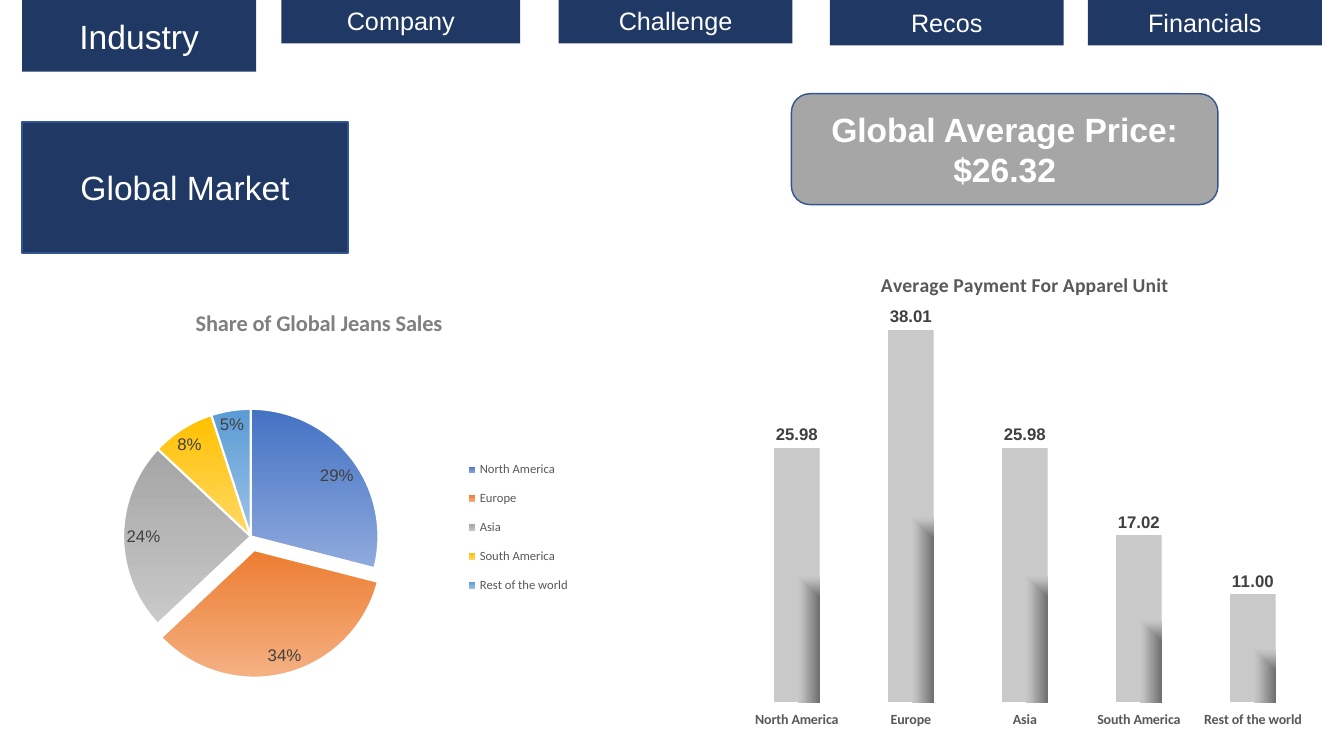
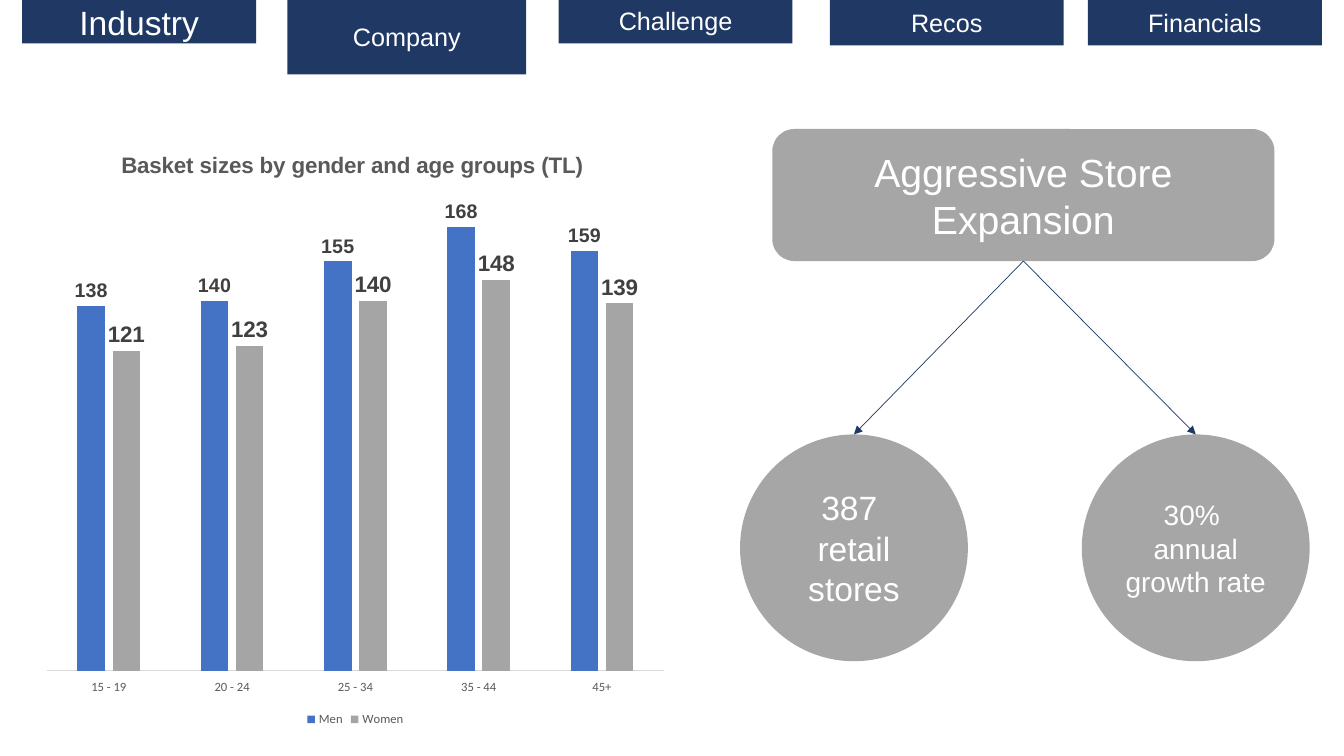
from pptx import Presentation
from pptx.chart.data import CategoryChartData
from pptx.dml.color import RGBColor
from pptx.enum.chart import XL_CHART_TYPE, XL_LABEL_POSITION, XL_LEGEND_POSITION, XL_TICK_LABEL_POSITION, XL_TICK_MARK
from pptx.enum.shapes import MSO_CONNECTOR, MSO_SHAPE
from pptx.enum.text import MSO_ANCHOR, MSO_AUTO_SIZE, PP_ALIGN
from pptx.oxml import parse_xml
from pptx.oxml.ns import nsdecls, qn
from pptx.util import Emu, Pt

RECTANGLE = MSO_SHAPE.RECTANGLE
ROUNDED = MSO_SHAPE.ROUNDED_RECTANGLE
ELLIPSE = MSO_SHAPE.OVAL
COLUMNS = XL_CHART_TYPE.COLUMN_CLUSTERED
PIE = XL_CHART_TYPE.PIE
OUTSIDE = XL_LABEL_POSITION.OUTSIDE_END
BEST_FIT = XL_LABEL_POSITION.BEST_FIT
LEGEND_RIGHT = XL_LEGEND_POSITION.RIGHT
LEGEND_BOTTOM = XL_LEGEND_POSITION.BOTTOM

PX = 9144
SLIDE_SIZE = (1333, 750)
TITLE_ONLY, BLANK = 5, 6
BOTTOM_SITE, TOP_SITE = 2, 0
COLORS = {
    "navy": "203864", "outline": "325491", "white": "FFFFFF", "gray": "A6A6A6",
    "text": "595959", "label": "404040", "muted": "808080", "axis": "D9D9D9",
    "men": "4472C4", "women": "A5A5A5",
}

TABS = {
    "Industry": ((22, 0, 232, 43), 24),
    "Company": ((279, -2, 237, 45), 18),
    "Challenge": ((554, -2, 232, 45), 18),
    "Recos": ((823, 0, 232, 45), 18),
    "Financials": ((1079, 0, 232, 45), 18),
}
MARKET_TAB = {"Industry": (22, 0, 232, 71)}
COMPANY_TAB = {"Company": (285, -2, 237, 76)}

MARKET_TITLE = ("Global Market", (22, 121, 323, 130))
PRICE = ("Global Average Price: $26.32", (785, 93, 423, 110))
REGIONS = ["North America", "Europe", "Asia", "South America", "Rest of the world"]
PAYMENTS = [("Series 1", [25.98, 38.01, 25.98, 17.02, 11])]
SHARES = [("Series 1", [0.29, 0.34, 0.24, 0.08, 0.05])]
SLICE_GRADIENTS = [
    ("4472C4", "8FAADC"), ("ED7D31", "F4B183"), ("A5A5A5", "C9C9C9"),
    ("FFC000", "FFD966"), ("5B9BD5", "9DC3E6"),
]
EXPLODED_SLICE = 1
BAR_STOPS = [(0, "6F6F6F"), (79, "BFBFBF"), (100, "C9C9C9")]

AGES = ["15 - 19", "20 - 24", "25 - 34", "35 - 44", "45+"]
BASKETS = [("Men", [138, 140, 155, 168, 159]), ("Women", [121, 123, 140, 148, 139])]
BASKET_STYLES = [("men", 14), ("women", 16)]
EXPANSION = ("Aggressive Store Expansion", (766, 128, 498, 131))
RESULTS = [
    (["387 ", "retail stores"], (734, 431, 226, 225), 24),
    (["30% ", "annual growth rate"], (1073, 431, 226, 225), 20),
]


def rgb(name):
    return RGBColor.from_string(COLORS.get(name, name))


def box(bounds):
    return [Emu(length * PX) for length in bounds]


def format_font(font, size, color, bold=False, name="Calibri"):
    font.size = Pt(size)
    font.color.rgb = rgb(color)
    font.bold = bold
    font.name = name


def write_text(frame, paragraphs, size=18, color="white", bold=False, name="Arial"):
    frame.word_wrap = True
    frame.auto_size = MSO_AUTO_SIZE.NONE
    frame.vertical_anchor = MSO_ANCHOR.MIDDLE
    for index, text in enumerate(paragraphs):
        paragraph = frame.add_paragraph() if index else frame.paragraphs[0]
        paragraph.alignment = PP_ALIGN.CENTER
        run = paragraph.add_run()
        run.text = text
        format_font(run.font, size, color, bold, name)


def paint(shape, fill, line=None):
    shape.fill.solid()
    shape.fill.fore_color.rgb = rgb(fill)
    if line:
        shape.line.color.rgb = rgb(line)
        shape.line.width = Pt(1)
    else:
        shape.line.fill.background()


def add_block(slide, kind, bounds, paragraphs, fill="navy", line=None, **text_format):
    shape = slide.shapes.add_shape(kind, *box(bounds))
    shape.shadow.inherit = False
    paint(shape, fill, line)
    write_text(shape.text_frame, paragraphs, **text_format)
    return shape


def add_tabs(slide, active):
    for text, (bounds, size) in TABS.items():
        add_block(slide, RECTANGLE, active.get(text, bounds), [text], size=size)


def add_arrow(slide, source, target):
    arrow = slide.shapes.add_connector(MSO_CONNECTOR.STRAIGHT, 0, 0, 0, 0)
    arrow.begin_connect(source, BOTTOM_SITE)
    arrow.end_connect(target, TOP_SITE)
    arrow.line.color.rgb = rgb("navy")
    arrow.line.width = Pt(0.5)
    arrow.line._get_or_add_ln().append(parse_xml(f'<a:tailEnd {nsdecls("a")} type="triangle"/>'))
    arrow._element.spPr.append(parse_xml(f'<a:effectLst {nsdecls("a")}/>'))


def place_part(element, position, fractions, inner=False):
    for layout in element.findall(qn("c:layout")):
        element.remove(layout)
    target = '<c:layoutTarget val="inner"/>' if inner else ""
    modes = "".join(f'<c:{axis}Mode val="edge"/>' for axis in "xy")
    values = "".join(f'<c:{key} val="{value}"/>' for key, value in zip("xywh", fractions))
    element.insert(position, parse_xml(
        f'<c:layout {nsdecls("c")}><c:manualLayout>{target}{modes}{values}</c:manualLayout></c:layout>'))


def add_chart(slide, kind, bounds, categories, rows, title, title_size, plot_area,
              title_color="text", title_font="Calibri"):
    data = CategoryChartData()
    data.categories = categories
    for name, values in rows:
        data.add_series(name, values)
    chart = slide.shapes.add_chart(kind, *box(bounds), data).chart
    format_font(chart.font, 10, "000000")
    chart.has_title = True
    chart.chart_title.include_in_layout = False
    run = chart.chart_title.text_frame.paragraphs[0].add_run()
    run.text = title
    format_font(run.font, title_size, title_color, True, title_font)
    chart.has_legend = False
    chart.plots[0].vary_by_categories = kind == PIE
    place_part(chart._chartSpace.chart.plotArea, 0, plot_area, inner=True)
    return chart


def add_legend(chart, position):
    chart.has_legend = True
    chart.legend.position = position
    chart.legend.include_in_layout = False
    format_font(chart.legend.font, 9, "text")


def add_labels(series, position, number_format, size=12, bold=True):
    labels = series.data_labels
    labels.show_value = True
    labels.number_format = number_format
    labels.number_format_is_linked = False
    labels.position = position
    format_font(labels.font, size, "label", bold, "Arial")


def format_axes(chart, maximum, size, bold=False, line=None):
    values = chart.value_axis
    values.minimum_scale = 0
    values.maximum_scale = maximum
    values.has_major_gridlines = False
    values.visible = False
    axis = chart.category_axis
    axis.major_tick_mark = XL_TICK_MARK.NONE
    axis.tick_label_position = XL_TICK_LABEL_POSITION.LOW
    format_font(axis.tick_labels.font, size, "text", bold)
    if line:
        axis.format.line.color.rgb = rgb(line)
        axis.format.line.width = Pt(0.75)
    else:
        axis.format.line.fill.background()


def add_payment_chart(slide):
    chart = add_chart(slide, COLUMNS, (722, 251, 589, 474), REGIONS, PAYMENTS,
                      "Average Payment For Apparel Unit", 14, (0.02, 0.12, 0.96, 0.82))
    format_axes(chart, 40, 10, bold=True)
    chart.plots[0].gap_width = 150
    series = chart.series[0]
    add_labels(series, OUTSIDE, "0.00")
    stops = "".join(f'<a:gs pos="{position * 1000}"><a:srgbClr val="{color}"/></a:gs>'
                    for position, color in BAR_STOPS)
    series._element.get_or_add_spPr().insert(0, parse_xml(
        f'<a:gradFill {nsdecls("a")}><a:gsLst>{stops}</a:gsLst>'
        '<a:path path="rect"><a:fillToRect l="100000" t="100000"/></a:path></a:gradFill>'))


def add_share_chart(slide):
    chart = add_chart(slide, PIE, (22, 287, 589, 438), REGIONS, SHARES,
                      "Share of Global Jeans Sales", 16, (0.17, 0.2, 0.43, 0.72), "muted")
    add_legend(chart, LEGEND_RIGHT)
    place_part(chart.legend._element, 1, (0.74, 0.36, 0.19, 0.36))
    series = chart.series[0]
    add_labels(series, BEST_FIT, "0%", bold=False)
    for index, colors in enumerate(SLICE_GRADIENTS):
        point_format = series.points[index].format
        point_format.fill.gradient()
        point_format.fill.gradient_angle = 270
        for stop, color in zip(point_format.fill.gradient_stops, colors):
            stop.color.rgb = rgb(color)
        point_format.line.color.rgb = rgb("white")
        point_format.line.width = Pt(1.5)
    exploded = series._element.findall(qn("c:dPt"))[EXPLODED_SLICE]
    exploded.find(qn("c:spPr")).addprevious(parse_xml(f'<c:explosion {nsdecls("c")} val="11"/>'))


def add_basket_chart(slide):
    chart = add_chart(slide, COLUMNS, (34, 128, 637, 597), AGES, BASKETS,
                      "Basket sizes by gender and age groups (TL) ", 16,
                      (0.02, 0.11, 0.96, 0.79), title_font="Arial")
    format_axes(chart, 180, 9, line="axis")
    add_legend(chart, LEGEND_BOTTOM)
    chart.plots[0].gap_width = 219
    chart.plots[0].overlap = -27
    for series, (color, size) in zip(chart.series, BASKET_STYLES):
        series.format.fill.solid()
        series.format.fill.fore_color.rgb = rgb(color)
        add_labels(series, OUTSIDE, "General", size)


def build_market_slide(presentation):
    slide = presentation.slides.add_slide(presentation.slide_layouts[TITLE_ONLY])
    add_tabs(slide, MARKET_TAB)
    text, bounds = MARKET_TITLE
    title = slide.shapes.title
    title.left, title.top, title.width, title.height = box(bounds)
    paint(title, "navy", "outline")
    write_text(title.text_frame, [text], size=24)
    add_payment_chart(slide)
    text, bounds = PRICE
    add_block(slide, ROUNDED, bounds, [text], "gray", "outline", size=24, bold=True)
    add_share_chart(slide)


def build_company_slide(presentation):
    slide = presentation.slides.add_slide(presentation.slide_layouts[BLANK])
    add_tabs(slide, COMPANY_TAB)
    text, bounds = EXPANSION
    expansion = add_block(slide, ROUNDED, bounds, [text], "gray", size=28)
    for paragraphs, bounds, size in RESULTS:
        result = add_block(slide, ELLIPSE, bounds, paragraphs, "gray", size=size)
        add_arrow(slide, expansion, result)
    add_basket_chart(slide)


def main():
    presentation = Presentation()
    presentation.slide_width, presentation.slide_height = box(SLIDE_SIZE)
    build_market_slide(presentation)
    build_company_slide(presentation)
    presentation.save("out.pptx")


if __name__ == "__main__":
    main()
